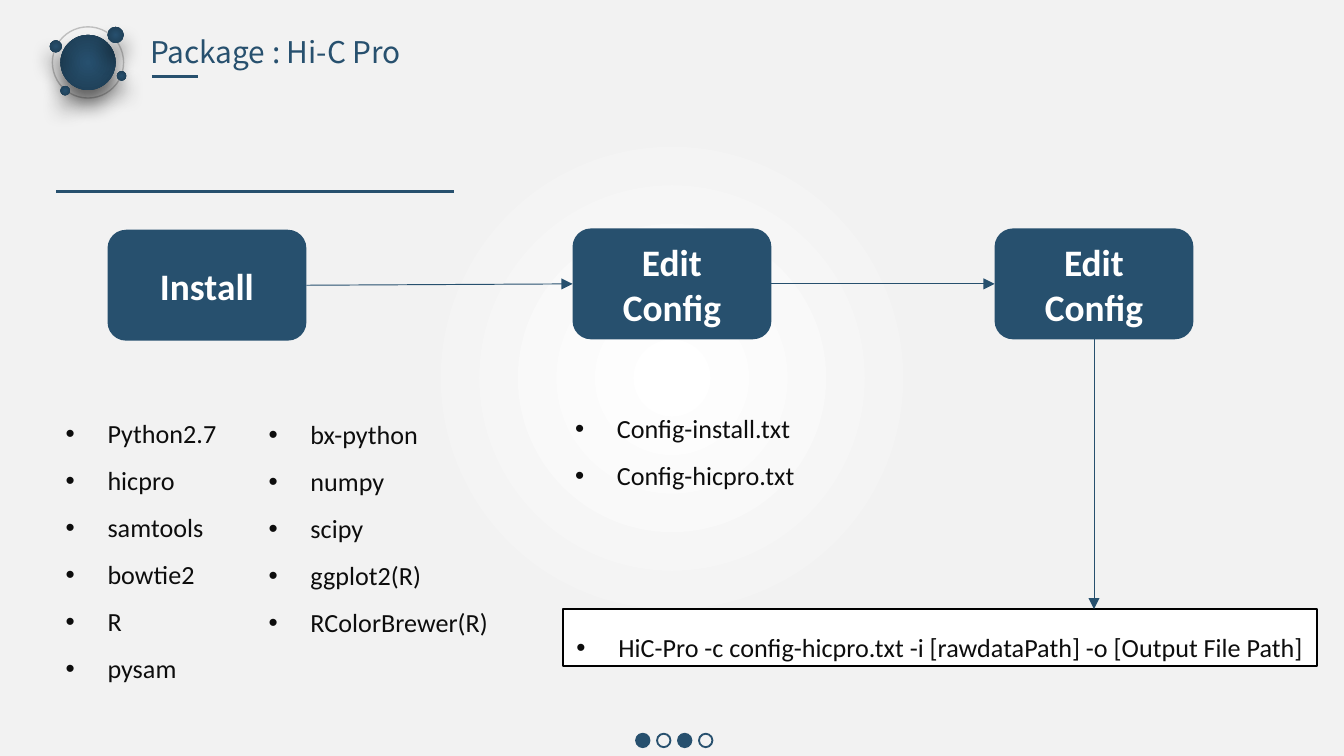
from dataclasses import dataclass
from typing import Any

import lxml.etree
import pptx
import pptx.dml.color
import pptx.enum.shapes
import pptx.enum.text
import pptx.oxml
import pptx.oxml.ns
import pptx.util

# Grid: 100 columns by 56.25 rows of square cells (16:9)
COLS, ROWS = 100, 56.25
CELL = pptx.util.Inches(0.1)

COLORS = {
    "navy": "27506E", "deep": "1D3C52", "text": "0D0D0D", "white": "FFFFFF",
    "paper": "F2F2F2", "ring": "BFBFBF", "black": "000000",
}
TITLE = {"name": "Noto Sans CJK SC", "size": pptx.util.Pt(16), "color": "navy"}
NODE = {"name": "Calibri", "size": pptx.util.Pt(20), "bold": True, "color": "white"}
BODY = {"name": "Calibri", "size": pptx.util.Pt(14), "color": "text"}

SHAPE = pptx.enum.shapes.MSO_SHAPE
ANCHOR = pptx.enum.text.MSO_ANCHOR
ALIGN = pptx.enum.text.PP_ALIGN
TOP, LEFT, BOTTOM, RIGHT = range(4)  # connection sites
NS = pptx.oxml.ns.nsdecls("a")


@dataclass
class Box:
    col: float
    row: float
    cols: float
    rows: float

    def emu(self) -> list[int]:
        return [g(v) for v in (self.col, self.row, self.cols, self.rows)]


@dataclass
class BulletList:
    box: Box
    items: list[str]


def g(cells: float) -> int:
    return round(cells * CELL)


def rgb(name: str) -> Any:
    return pptx.dml.color.RGBColor.from_string(COLORS[name])


def radial(*stops: tuple[int, str]) -> Any:
    """Circular gradient that starts at the centre."""
    gs = "".join(f'<a:gs pos="{pos * 1000}"><a:srgbClr val="{COLORS[c]}"/></a:gs>'
                 for pos, c in stops)
    return pptx.oxml.parse_xml(
        f'<a:gradFill {NS} rotWithShape="1"><a:gsLst>{gs}</a:gsLst><a:path path="circle">'
        '<a:fillToRect l="50000" t="50000" r="50000" b="50000"/></a:path></a:gradFill>')


def set_radial(parent: Any, *stops: tuple[int, str]) -> None:
    """Put a radial gradient in place of the solid fill."""
    solid = parent.find(pptx.oxml.ns.qn("a:solidFill"))
    parent.replace(solid, radial(*stops))


def add_run(p: Any, text: str, fmt: dict[str, Any]) -> None:
    r = p.add_run()
    r.text = text
    for key, value in fmt.items():
        if key == "color":
            r.font.color.rgb = rgb(value)
        else:
            setattr(r.font, key, value)


def add_shape(s: Any, kind: Any, box: Box, fill: str = "", line: str = "",
              width: float = 1) -> Any:
    sp = s.shapes.add_shape(kind, *box.emu())
    sp.shadow.inherit = False
    if fill:
        sp.fill.solid()
        sp.fill.fore_color.rgb = rgb(fill)
    else:
        sp.fill.background()
    if line:
        sp.line.color.rgb = rgb(line)
        sp.line.width = pptx.util.Pt(width)
    else:
        sp.line.fill.background()
    return sp


def add_ball(s: Any, box: Box) -> None:
    sp = add_shape(s, SHAPE.OVAL, box, "navy")
    props = sp.element.spPr
    set_radial(props, (0, "navy"), (100, "deep"))
    effects = props.find(pptx.oxml.ns.qn("a:effectLst"))
    effects.append(pptx.oxml.parse_xml(
        f'<a:outerShdw {NS} blurRad="{pptx.util.Pt(11)}" dist="{pptx.util.Pt(8)}" '
        f'dir="5400000" algn="t" rotWithShape="0"><a:srgbClr val="{COLORS["black"]}">'
        '<a:alpha val="60000"/></a:srgbClr></a:outerShdw>'))


def add_node(s: Any, box: Box, text: str) -> Any:
    sp = add_shape(s, SHAPE.ROUNDED_RECTANGLE, box, "navy")
    tf = sp.text_frame
    tf.word_wrap = True
    tf.vertical_anchor = ANCHOR.MIDDLE
    p = tf.paragraphs[0]
    p.alignment = ALIGN.CENTER
    add_run(p, text, NODE)
    return sp


def add_line(s: Any, start: tuple[float, float], end: tuple[float, float],
             width: float = 1.5, arrow: bool = False) -> Any:
    cn = s.shapes.add_connector(pptx.enum.shapes.MSO_CONNECTOR.STRAIGHT,
                                *(g(v) for v in start + end))
    cn.line.color.rgb = rgb("navy")
    cn.line.width = pptx.util.Pt(width)
    if arrow:
        ln = cn.element.spPr.find(pptx.oxml.ns.qn("a:ln"))
        lxml.etree.SubElement(ln, pptx.oxml.ns.qn("a:tailEnd"), type="triangle")
    lxml.etree.SubElement(cn.element.spPr, pptx.oxml.ns.qn("a:effectLst"))
    return cn


def add_bullets(tf: Any, items: list[str]) -> None:
    tf.word_wrap = True
    tf.vertical_anchor = ANCHOR.TOP
    for i, item in enumerate(items):
        p = tf.add_paragraph() if i else tf.paragraphs[0]
        props = p._p.get_or_add_pPr()
        props.set("marL", str(g(3.12)))
        props.set("indent", str(-g(3.12)))
        lxml.etree.SubElement(props, pptx.oxml.ns.qn("a:buFont"), typeface="Arial")
        lxml.etree.SubElement(props, pptx.oxml.ns.qn("a:buChar"), char="•")
        p.alignment = ALIGN.LEFT
        p.line_spacing = 1.5
        add_run(p, item, BODY)


BALLS = [Box(4.5, 2.6, 4.1, 4.1), Box(8, 2, 1.2, 1.2), Box(3.7, 3, 0.9, 0.9),
         Box(4.5, 6.4, 0.7, 0.7), Box(8.7, 5.3, 0.7, 0.7)]
STEPS = [("Install", 8, 17.1), ("Edit Config", 42.6, 17), ("Edit Config", 74, 17)]
LISTS = [
    BulletList(Box(3.9, 29.4, 24.3, 21.8),
               ["Python2.7", "hicpro", "samtools", "bowtie2", "R", "pysam"]),
    BulletList(Box(19, 29.5, 21.2, 18.3),
               ["bx-python", "numpy", "scipy", "ggplot2(R)", "RColorBrewer(R)"]),
    BulletList(Box(41.8, 29.04, 21.2, 7.7), ["Config-install.txt", "Config-hicpro.txt"]),
]
COMMAND = BulletList(Box(41.9, 45.33, 56.1, 4.2),
                     ["HiC-Pro -c config-hicpro.txt -i [rawdataPath] -o [Output File Path]"])


def main() -> None:
    prs = pptx.Presentation()
    prs.slide_width, prs.slide_height = g(COLS), g(ROWS)
    s = prs.slides.add_slide(prs.slide_layouts[6])

    # Background
    s.background.fill.solid()
    set_radial(s.element.cSld.bg.bgPr, (0, "white"), (35, "paper"), (100, "paper"))

    # Page dots, alternately filled and open
    for i in range(4):
        add_shape(s, SHAPE.OVAL, Box(47.33 + 1.56 * i, 54.6, 1, 1),
                  "" if i % 2 else "navy", "navy")

    # Title and rules
    tf = s.shapes.add_textbox(*Box(10.2, 2, 32.2, 3.7).emu()).text_frame
    tf.word_wrap = True
    add_run(tf.paragraphs[0], "Package : Hi-C Pro", TITLE)
    add_line(s, (11.3, 5.7), (14.7, 5.7))
    add_line(s, (4.2, 14.25), (33.8, 14.25))

    # Ornament
    add_shape(s, SHAPE.OVAL, Box(3.9, 2, 5.3, 5.3), line="ring", width=0.75)
    for ball in BALLS:
        add_ball(s, ball)

    # Steps and the arrows between them
    nodes = [add_node(s, Box(col, row, 14.8, 8.25), text) for text, col, row in STEPS]
    for a, b in zip(nodes, nodes[1:]):
        cn = add_line(s, (0, 0), (1, 1), 0.5, arrow=True)
        cn.begin_connect(a, RIGHT)
        cn.end_connect(b, LEFT)

    # Bullet lists
    for lst in LISTS:
        add_bullets(s.shapes.add_textbox(*lst.box.emu()).text_frame, lst.items)

    # Command
    sp = add_shape(s, SHAPE.RECTANGLE, COMMAND.box, "white", "black")
    add_bullets(sp.text_frame, COMMAND.items)
    cn = add_line(s, (81.4, 25.2), (81.4, COMMAND.box.row), 0.5, arrow=True)
    cn.begin_connect(nodes[-1], BOTTOM)

    prs.save("out.pptx")


if __name__ == "__main__":
    main()
